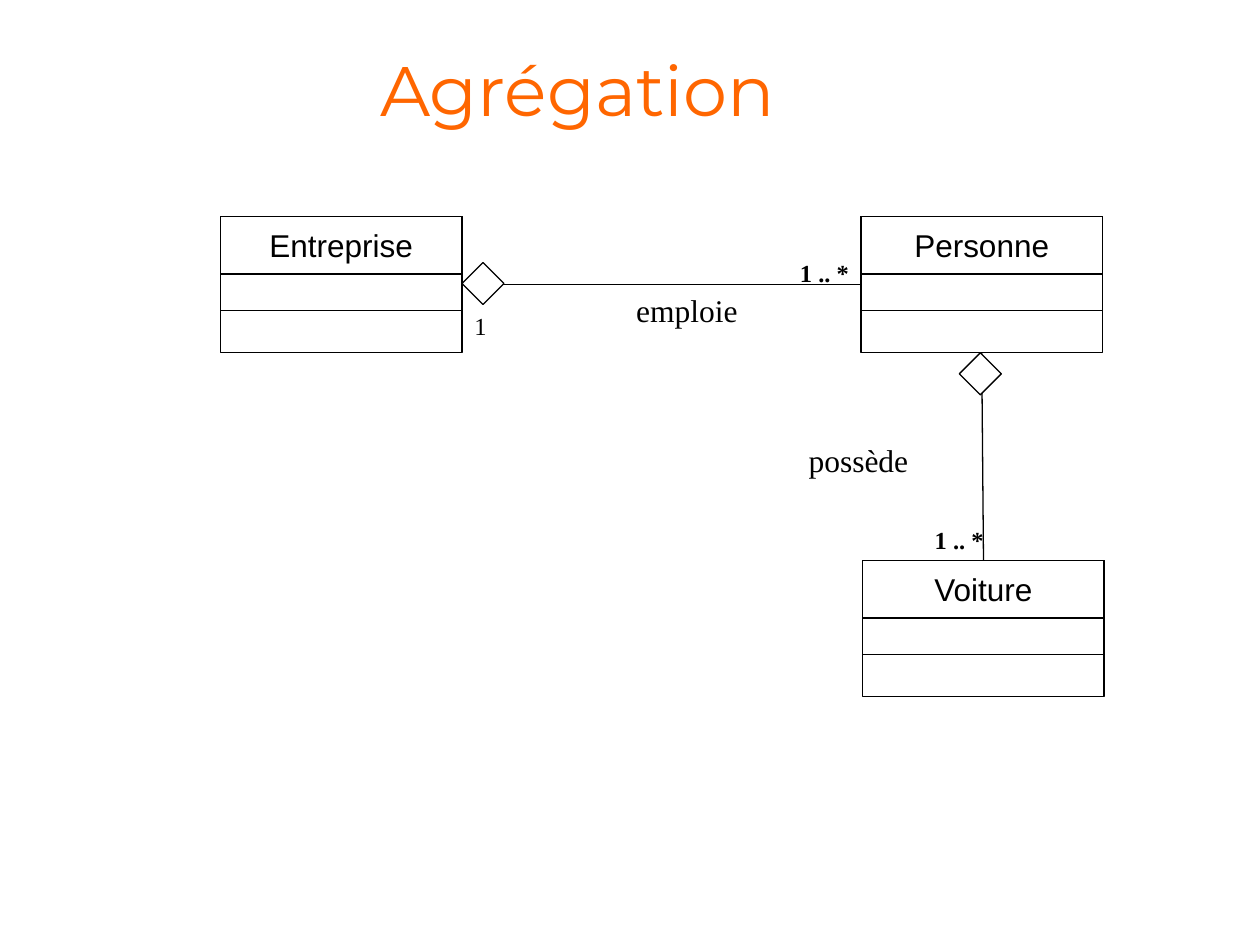
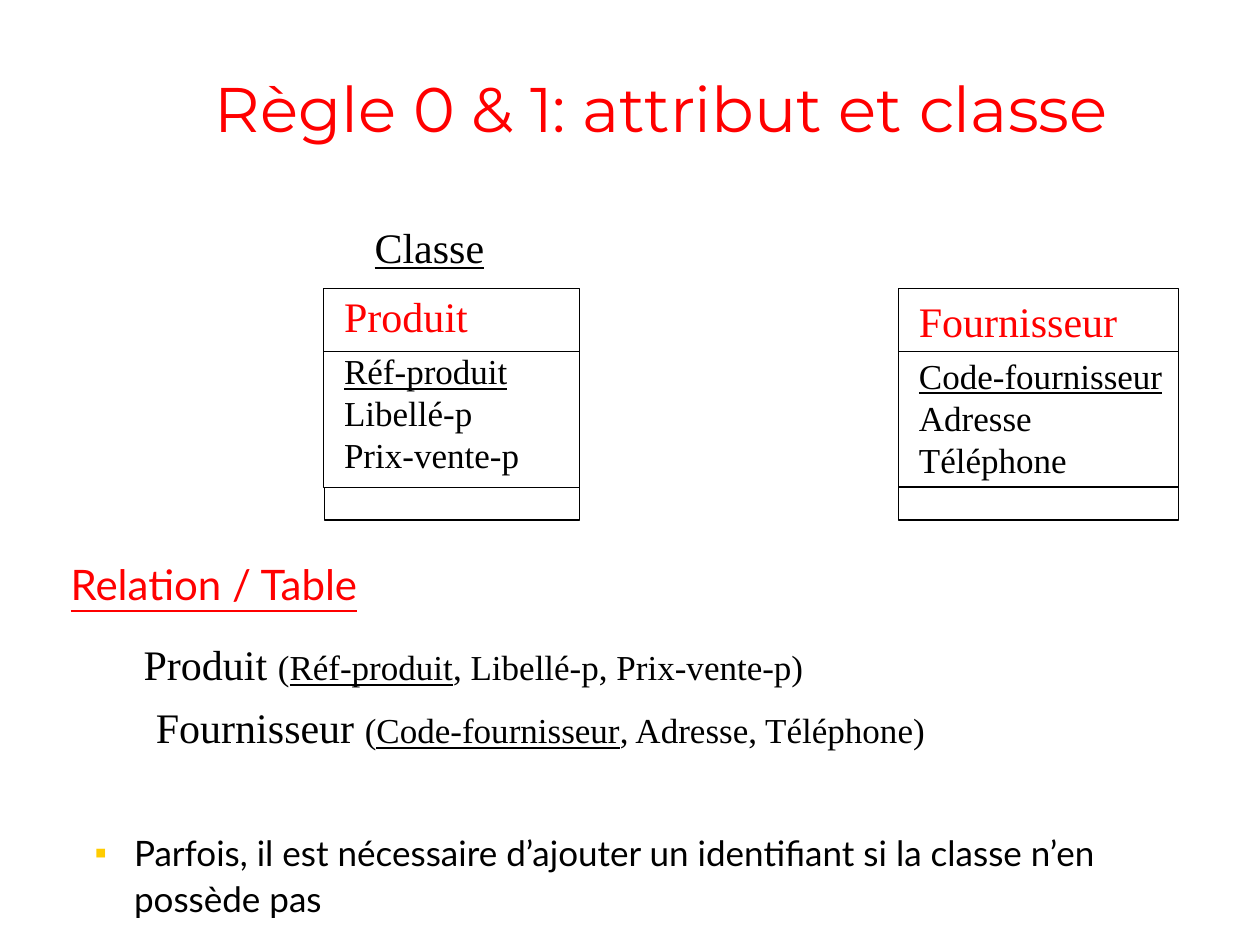
from dataclasses import dataclass
from typing import NamedTuple

from lxml.etree import SubElement
from pptx import Presentation
from pptx.dml.color import RGBColor as RGB
from pptx.enum.shapes import MSO_CONNECTOR as Link, MSO_SHAPE as Kind
from pptx.enum.text import MSO_ANCHOR as Anchor, PP_ALIGN as Align
from pptx.oxml.ns import qn
from pptx.shapes.autoshape import Shape
from pptx.shapes.connector import Connector
from pptx.slide import Slide
from pptx.util import Pt


@dataclass(frozen=True)
class Theme:
    black: RGB = RGB(0, 0, 0)
    white: RGB = RGB(255, 255, 255)
    orange: RGB = RGB(255, 102, 0)
    red: RGB = RGB(255, 0, 0)
    gold: RGB = RGB(255, 204, 0)
    serif: str = "Times New Roman"
    sans: str = "Arial"
    body: str = "Lato"
    title: str = "Montserrat"
    huge: float = 40
    big: float = 36
    head: float = 24
    text: float = 20
    name: float = 18
    small: float = 14
    line: float = 0.75


T = Theme()


class Box(NamedTuple):
    x: float
    y: float
    w: float
    h: float

    def points(self) -> tuple[Pt, ...]:
        return tuple(Pt(v) for v in self)


@dataclass(frozen=True)
class Style:
    size: float
    font: str = T.serif
    color: RGB = T.black
    bold: bool = False
    under: bool = False
    align: Align = Align.LEFT
    anchor: Anchor = Anchor.TOP
    wrap: bool = False
    pad: tuple[float, float] = (7.2, 3.6)


class Label(NamedTuple):
    text: str
    box: Box
    style: Style


class Node(NamedTuple):
    name: str
    x: float
    y: float


class Entity(NamedTuple):
    name: str
    key: str
    rest: tuple[str, ...]
    box: Box
    foot: Box
    drop: float
    head: float
    field: float
    row: Box


ROLE = Style(T.name, align=Align.CENTER, anchor=Anchor.MIDDLE)
COUNT = Style(T.small, bold=True)
HEAD = Style(T.name, T.sans, align=Align.CENTER, wrap=True, pad=(0, 5.76))
NAME = Style(T.head, color=T.red, align=Align.CENTER)
FIELD = Style(T.text)
WIDE, TALL, TOP, SPLIT = 138, 78, 33, 54
GEM = 24


def paint(run, style: Style) -> None:
    font = run.font
    font.name, font.size = style.font, Pt(style.size)
    font.color.rgb = style.color
    font.bold, font.underline = style.bold, style.under


def write(shape: Shape, text: str, style: Style) -> None:
    frame = shape.text_frame
    frame.word_wrap = style.wrap
    frame.vertical_anchor = style.anchor
    frame.margin_left = frame.margin_right = Pt(style.pad[0])
    frame.margin_top = frame.margin_bottom = Pt(style.pad[1])
    frame.text = text
    for par in frame.paragraphs:
        par.alignment = style.align
        for run in par.runs:
            paint(run, style)


def put(slide: Slide, label: Label) -> Shape:
    shape = slide.shapes.add_textbox(*label.box.points())
    write(shape, label.text, label.style)
    return shape


def draw(slide: Slide, box: Box, kind: Kind = Kind.RECTANGLE,
         fill: RGB | None = None) -> Shape:
    shape = slide.shapes.add_shape(kind, *box.points())
    shape.shadow.inherit = False
    if fill is None:
        shape.fill.background()
    else:
        shape.fill.solid()
        shape.fill.fore_color.rgb = fill
    shape.line.color.rgb = T.black
    shape.line.width = Pt(T.line)
    return shape


def rule(slide: Slide, x: float = 0, y: float = 0, w: float = 0) -> Connector:
    line = slide.shapes.add_connector(Link.STRAIGHT, Pt(x), Pt(y), Pt(x + w), Pt(y))
    line.line.color.rgb = T.black
    line.line.width = Pt(T.line)
    SubElement(line._element.spPr, qn("a:effectLst"))
    return line


def add_node(slide: Slide, node: Node) -> Shape:
    head = draw(slide, Box(node.x, node.y, WIDE, TOP))
    write(head, node.name, HEAD)
    frame = draw(slide, Box(node.x, node.y, WIDE, TALL))
    rule(slide, node.x, node.y + SPLIT, WIDE)
    return frame


def join(slide: Slide, start: Shape, out: int, end: Shape, into: int) -> None:
    line = rule(slide)
    line.begin_connect(start, out)
    line.end_connect(end, into)


def add_entity(slide: Slide, item: Entity) -> None:
    box = item.box
    draw(slide, box)
    rule(slide, box.x, box.y + 36, box.w)
    x, y = box.x + 4.5, box.y + item.drop
    put(slide, Label(item.name, Box(x, y, item.head, 36), NAME))
    text = "\n".join((item.key, *item.rest))
    fields = put(slide, Label(text, Box(x, y + 33.8, item.field, 79), FIELD))
    fields.text_frame.paragraphs[0].runs[0].font.underline = True
    draw(slide, item.foot)


def add_relation(slide: Slide, item: Entity) -> None:
    shape = put(slide, Label(item.name + " ", item.row, Style(T.head)))
    par = shape.text_frame.paragraphs[0]
    tail = ", " + ", ".join(item.rest) + ")"
    for text, under in (("(", False), (item.key, True), (tail, False)):
        run = par.add_run()
        run.text = text
        paint(run, Style(T.text, under=under))


def add_bullet(slide: Slide, label: Label) -> None:
    par = put(slide, label).text_frame.paragraphs[0]
    par.level = 1
    par.line_spacing = 1.1
    props = par._p.get_or_add_pPr()
    props.set("marL", str(Pt(58.5)))
    props.set("indent", str(Pt(-22.5)))
    tint = SubElement(props, qn("a:buClr"))
    SubElement(tint, qn("a:srgbClr")).set("val", str(T.gold))
    SubElement(props, qn("a:buFont")).set("typeface", T.sans)
    SubElement(props, qn("a:buChar")).set("char", "▪")


def build_links(slide: Slide) -> None:
    title = Style(T.huge, T.title, T.orange, align=Align.CENTER,
                  anchor=Anchor.BOTTOM, wrap=True, pad=(0, 0))
    put(slide, Label("Agrégation", Box(168, 38.5, 324, 36), title))
    firm, person, car = (add_node(slide, node) for node in (
        Node("Entreprise", 126, 123.6),
        Node("Personne", 492, 123.6),
        Node("Voiture", 493, 320.2),
    ))
    join(slide, firm, 3, person, 1)
    join(slide, person, 2, car, 0)
    for x, y in ((264, 150), (548.2, 201.6)):
        draw(slide, Box(x, y, GEM, GEM), Kind.DIAMOND, T.white)
    for label in (
        Label("emploie", Box(334, 162.6, 117, 29), ROLE),
        Label("possède", Box(445.5, 248, 90, 29), ROLE),
        Label("1", Box(264, 174, 22, 24), Style(T.small)),
        Label("1 .. *", Box(450, 144, 42.5, 24), COUNT),
        Label("1 .. *", Box(527, 296.5, 42.5, 24), COUNT),
    ):
        put(slide, label)


def build_rules(slide: Slide) -> None:
    title = Style(T.big, T.title, T.red, align=Align.CENTER, wrap=True)
    put(slide, Label("Règle 0 & 1: attribut et classe", Box(72, 36, 612, 50), title))
    put(slide, Label("Classe", Box(207, 123, 77, 36), Style(T.head, under=True)))
    put(slide, Label("Relation / Table", Box(33.3, 315.5, 189, 36),
                     Style(T.head, T.body, T.red, under=True)))
    for item in (
        Entity("Produit", "Réf-produit", ("Libellé-p", "Prix-vente-p"),
               Box(185, 165, 146, 113.7), Box(185.5, 278.7, 145.5, 18.5),
               -2.5, 85, 114.5, Box(75, 361.5, 392, 36)),
        Entity("Fournisseur", "Code-fournisseur", ("Adresse", "Téléphone"),
               Box(513.5, 165, 160, 113.7), Box(513.5, 278, 160, 19.2),
               0.2, 127.5, 153.5, Box(82, 397.5, 455, 36)),
    ):
        add_entity(slide, item)
        add_relation(slide, item)
    add_bullet(slide, Label(
        "Parfois, il est nécessaire d’ajouter un identifiant "
        "si la classe n’en possède pas",
        Box(11, 469, 643.5, 64), Style(T.text, T.body, wrap=True)))


def main() -> None:
    deck = Presentation()
    deck.slide_width, deck.slide_height = Pt(720), Pt(540)
    for build in (build_links, build_rules):
        build(deck.slides.add_slide(deck.slide_layouts[6]))
    deck.save("out.pptx")


if __name__ == "__main__":
    main()
